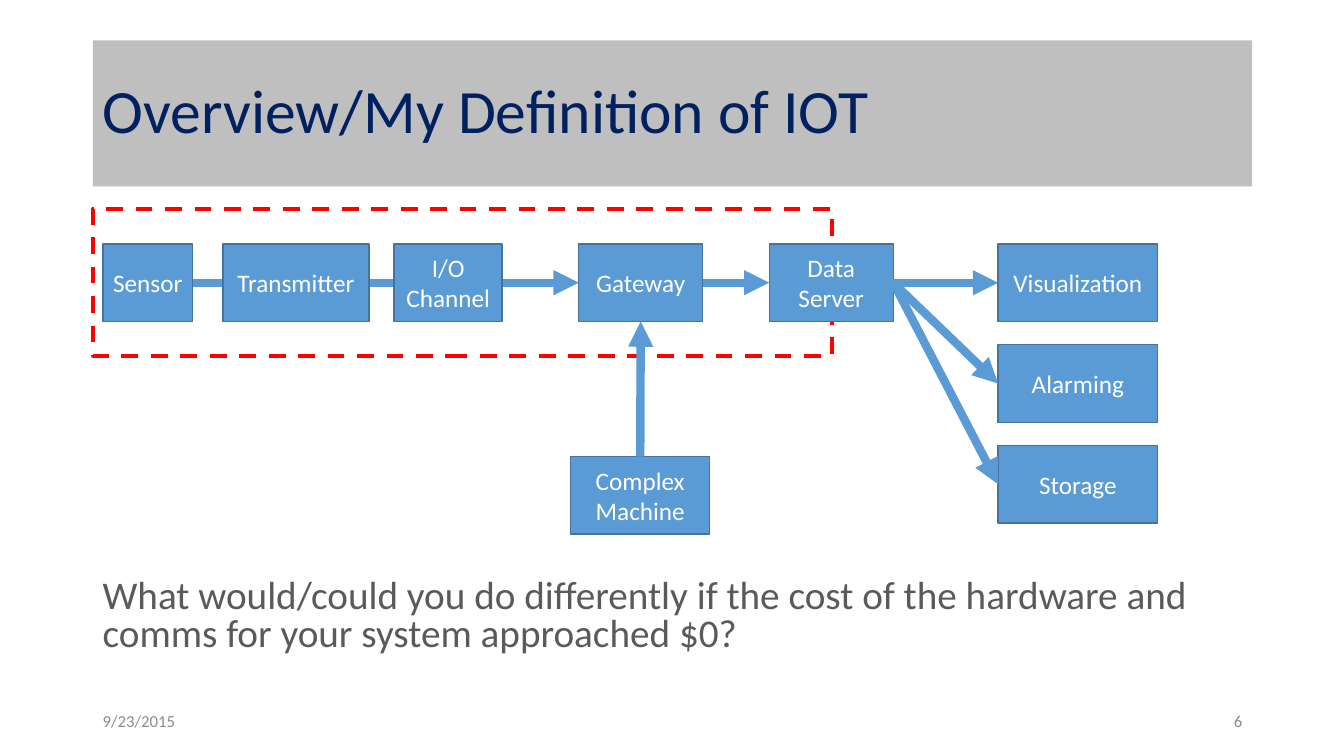
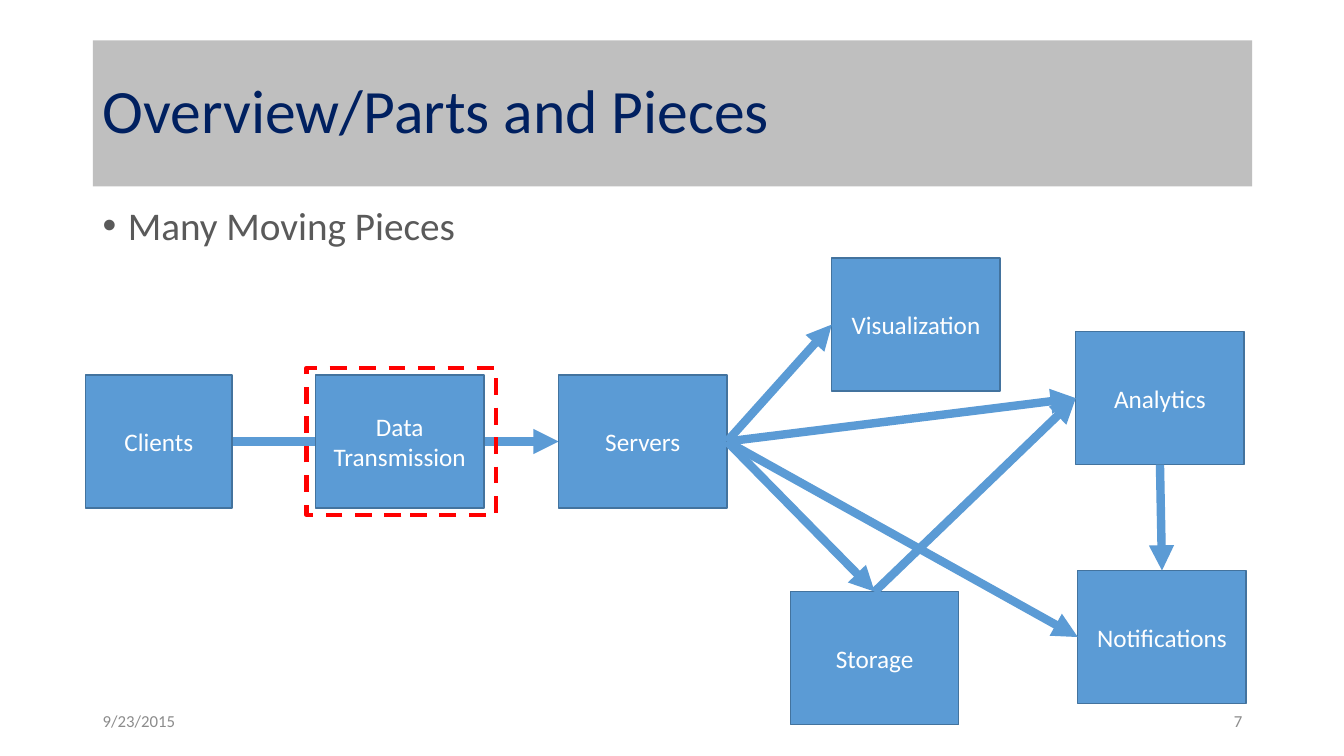
"""Two overview slides with box-and-arrow system diagrams."""
from dataclasses import dataclass

from lxml import etree
from pptx import Presentation
from pptx.dml.color import RGBColor
from pptx.enum.dml import MSO_LINE
from pptx.enum.shapes import MSO_CONNECTOR, MSO_SHAPE
from pptx.enum.text import MSO_ANCHOR, PP_ALIGN
from pptx.oxml.ns import qn
from pptx.shapes.autoshape import Shape
from pptx.shapes.connector import Connector
from pptx.slide import Slide
from pptx.util import Inches, Pt

NAVY = RGBColor(0x00, 0x20, 0x60)
BAND = RGBColor(0xBF, 0xBF, 0xBF)
BODY = RGBColor(0x5A, 0x5A, 0x5A)
FOOTER = RGBColor(0x8C, 0x8C, 0x8C)
BLUE = RGBColor(0x5B, 0x9B, 0xD5)
EDGE = RGBColor(0x43, 0x73, 0x9E)
RED = RGBColor(0xFF, 0x00, 0x00)
WHITE = RGBColor(0xFF, 0xFF, 0xFF)

FONT = "Calibri"
DATE = "9/23/2015"
LEFT, CENTER, RIGHT = PP_ALIGN.LEFT, PP_ALIGN.CENTER, PP_ALIGN.RIGHT
TOP, MIDDLE = MSO_ANCHOR.TOP, MSO_ANCHOR.MIDDLE
RECT, STRAIGHT, DASH = MSO_SHAPE.RECTANGLE, MSO_CONNECTOR.STRAIGHT, MSO_LINE.DASH
SITE_TOP, SITE_LEFT, SITE_BOTTOM, SITE_RIGHT = range(4)
TITLE_ONLY = 5
MARGIN, CONTENT_W = 0.92, 11.5


@dataclass(frozen=True)
class Area:
    """A rectangle in inches."""
    x: float
    y: float
    w: float
    h: float


@dataclass(frozen=True)
class Box:
    """A labelled block of a diagram."""
    label: str
    area: Area


@dataclass(frozen=True)
class Link:
    """An arrow between the sides of two named boxes."""
    start: str
    end: str
    start_site: int = SITE_RIGHT
    end_site: int = SITE_LEFT
    behind: bool = False


@dataclass(frozen=True)
class Diagram:
    """Boxes, their arrows and the dashed highlight."""
    frame: Area
    boxes: list[Box]
    links: list[Link]


def lengths(a: Area) -> tuple[int, int, int, int]:
    """Return the area as left, top, width and height."""
    return Inches(a.x), Inches(a.y), Inches(a.w), Inches(a.h)


def write(shape: Shape, text: str, *, size: float, color: RGBColor,
          align: PP_ALIGN = LEFT, anchor: MSO_ANCHOR = MIDDLE,
          spacing: float = 1.0, before: float = 0, inset: float = 0.1) -> None:
    """Fill a shape with one formatted paragraph."""
    tf = shape.text_frame
    tf.word_wrap = True
    tf.vertical_anchor = anchor
    tf.margin_left = tf.margin_right = Inches(inset)
    p = tf.paragraphs[0]
    p.alignment, p.line_spacing, p.space_before = align, spacing, Pt(before)
    r = p.add_run()
    r.text = text
    r.font.name, r.font.size, r.font.color.rgb = FONT, Pt(size), color


def add_text(s: Slide, area: Area, text: str, **style) -> Shape:
    """Add a text box."""
    box = s.shapes.add_textbox(*lengths(area))
    write(box, text, **style)
    return box


def add_body(s: Slide, area: Area, text: str, *, spacing: float,
             bullet: bool = False) -> None:
    """Add body text, with a hanging bullet if asked."""
    box = add_text(s, area, text, size=28, color=BODY, anchor=TOP,
                   spacing=spacing, before=10)
    if bullet:
        pPr = box.element.find(".//" + qn("a:pPr"))
        pPr.set("marL", str(Inches(0.25)))
        pPr.set("indent", str(-Inches(0.25)))
        font = etree.SubElement(pPr, qn("a:buFont"))
        font.set("typeface", "Arial")
        etree.SubElement(pPr, qn("a:buChar")).set("char", "•")


def add_slide(prs: Presentation, title: str, number: int) -> Slide:
    """Add a slide with the title band, date and number."""
    s = prs.slides.add_slide(prs.slide_layouts[TITLE_ONLY])
    band = s.shapes.title
    band.left, band.top, band.width, band.height = lengths(
        Area(MARGIN, 0.4, CONTENT_W, 1.45))
    band.fill.solid()
    band.fill.fore_color.rgb = BAND
    write(band, title, size=44, color=NAVY, spacing=0.9)
    for x, text, align in ((MARGIN, DATE, LEFT), (9.42, str(number), RIGHT)):
        add_text(s, Area(x, 6.95, 3, 0.4), text, size=12, color=FOOTER, align=align)
    return s


def add_box(s: Slide, box: Box) -> Shape:
    """Draw a labelled blue block."""
    sp = s.shapes.add_shape(RECT, *lengths(box.area))
    sp.shadow.inherit = False
    sp.fill.solid()
    sp.fill.fore_color.rgb = BLUE
    sp.line.color.rgb, sp.line.width = EDGE, Pt(1)
    write(sp, box.label, size=18, color=WHITE, align=CENTER, inset=0.05)
    return sp


def add_frame(s: Slide, area: Area) -> None:
    """Draw the dashed red highlight."""
    sp = s.shapes.add_shape(RECT, *lengths(area))
    sp.shadow.inherit = False
    sp.fill.background()
    sp.line.color.rgb, sp.line.width, sp.line.dash_style = RED, Pt(3), DASH


def add_arrow(s: Slide) -> Connector:
    """Add a thick arrow that is still to be attached."""
    c = s.shapes.add_connector(STRAIGHT, 0, 0, 0, 0)
    c.line.color.rgb, c.line.width = BLUE, Pt(6)
    spPr = c.element.spPr
    etree.SubElement(spPr.find(qn("a:ln")), qn("a:tailEnd")).set("type", "triangle")
    etree.SubElement(spPr, qn("a:effectLst"))
    return c


def draw(s: Slide, d: Diagram) -> None:
    """Draw a diagram from back to front and attach its arrows."""
    arrows = {link: add_arrow(s) for link in d.links if link.behind}
    add_frame(s, d.frame)
    shapes = {box.label: add_box(s, box) for box in d.boxes}
    arrows |= {link: add_arrow(s) for link in d.links if not link.behind}
    for link, c in arrows.items():
        c.begin_connect(shapes[link.start], link.start_site)
        c.end_connect(shapes[link.end], link.end_site)


ROW_Y, BOX_H = 2.42, 0.77
CHAIN = [("Sensor", 1.02, 0.89), ("Transmitter", 2.21, 1.45),
         ("I/O Channel", 3.91, 1.07), ("Gateway", 5.74, 1.23),
         ("Data Server", 7.63, 1.23)]
OUTPUTS = ["Visualization", "Alarming", "Storage"]
DEFINITION = Diagram(
    frame=Area(MARGIN, 2.07, 7.33, 1.46),
    boxes=[Box(label, Area(x, ROW_Y, w, BOX_H)) for label, x, w in CHAIN]
    + [Box(label, Area(9.9, ROW_Y + i, 1.58, BOX_H)) for i, label in enumerate(OUTPUTS)]
    + [Box("Complex Machine", Area(5.66, 4.53, 1.38, BOX_H))],
    links=[Link("Sensor", "Gateway", behind=True),
           Link("Complex Machine", "Gateway", SITE_TOP, SITE_BOTTOM),
           Link("Gateway", "Data Server")]
    + [Link("Data Server", label) for label in OUTPUTS],
)

PART_W, PART_H = 1.67, 1.32
PARTS = [("Data Transmission", 3.13, 3.72), ("Servers", 5.54, 3.72),
         ("Storage", 7.84, 5.87), ("Visualization", 8.25, 2.56),
         ("Analytics", 10.67, 3.29), ("Notifications", 10.69, 5.66)]
PIECES = Diagram(
    frame=Area(3.04, 3.65, 1.88, 1.46),
    boxes=[Box("Clients", Area(0.85, 3.72, 1.45, PART_H))]
    + [Box(label, Area(x, y, PART_W, PART_H)) for label, x, y in PARTS],
    links=[Link("Clients", "Servers", behind=True),
           Link("Servers", "Visualization"),
           Link("Servers", "Analytics"),
           Link("Servers", "Notifications"),
           Link("Servers", "Storage", end_site=SITE_TOP),
           Link("Storage", "Analytics", SITE_TOP),
           Link("Analytics", "Notifications", SITE_BOTTOM, SITE_TOP)],
)


def main() -> None:
    """Build and save the presentation."""
    prs = Presentation()
    prs.slide_width, prs.slide_height = Inches(13.33), Inches(7.5)

    s = add_slide(prs, "Overview/My Definition of IOT", 6)
    add_body(s, Area(MARGIN, 5.7, CONTENT_W, 1.06),
             "What would/could you do differently if the cost of the hardware "
             "and comms for your system approached $0?", spacing=0.8)
    draw(s, DEFINITION)

    s = add_slide(prs, "Overview/Parts and Pieces", 7)
    add_body(s, Area(MARGIN, 2, CONTENT_W, 0.55), "Many Moving Pieces",
             spacing=0.9, bullet=True)
    draw(s, PIECES)

    prs.save("out.pptx")


main()
